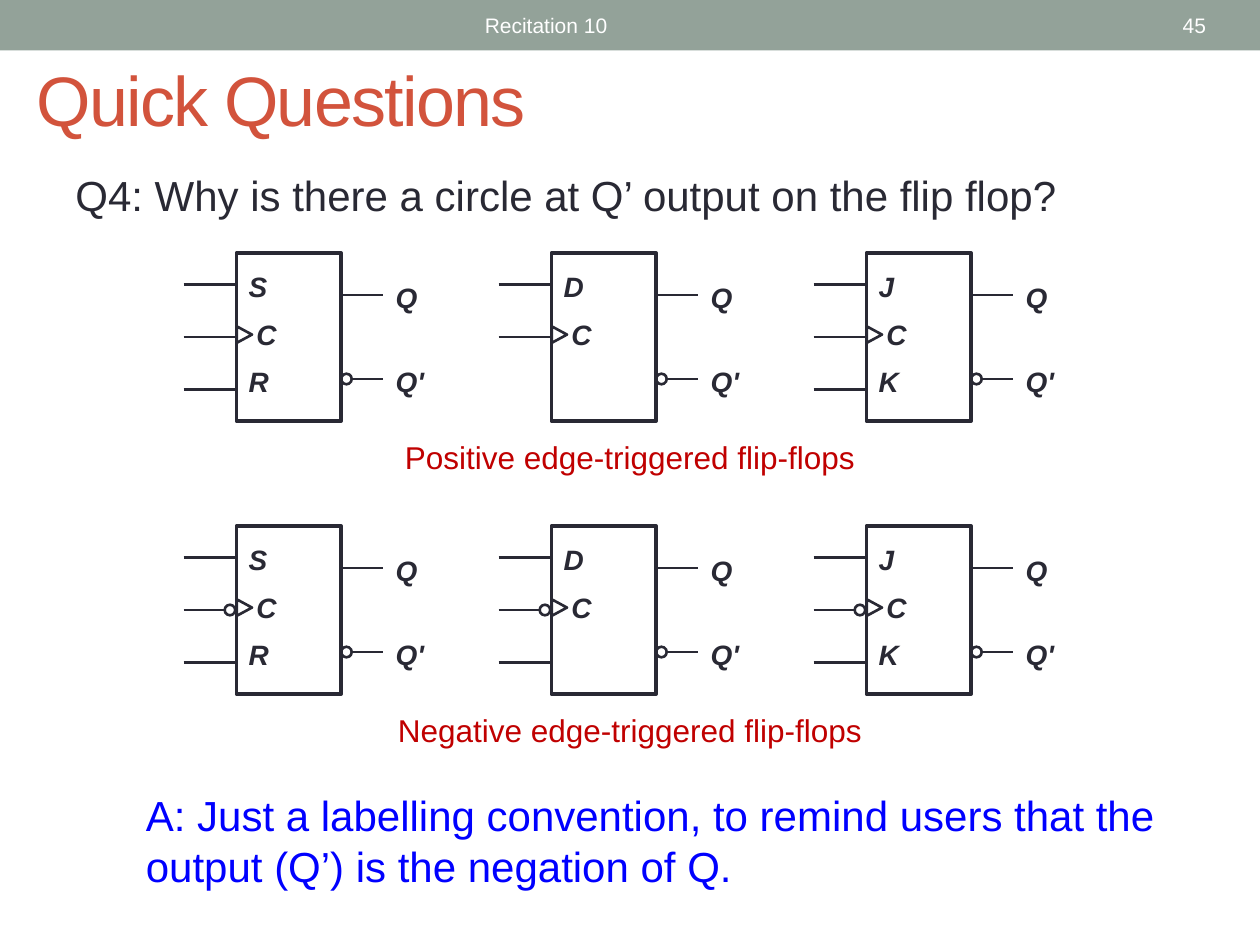
from lxml import etree
from pptx import Presentation
from pptx import util as u
from pptx.dml.color import RGBColor
from pptx.enum import shapes, text
from pptx.oxml import ns

COLORS = {"band": "93A299", "white": "FFFFFF", "ink": "292934",
          "answer": "0000FF", "caption": "C00000", "title": "D2533C"}
FONT = "Arial"
UNIT = 1 / 12  # side of one diagram grid cell, in inches
COLUMN_STEP, ROW_STEP = 30, 26
DIAGRAM_LEFT, DIAGRAM_TOP = 17.5, 24.1
KINDS = [("S", "R"), ("D", None), ("J", "K")]


def color(name):
    return RGBColor.from_string(COLORS[name])


def inches(*values):
    return [u.Inches(value) for value in values]


def write(box, lines, size, ink, align=text.PP_ALIGN.LEFT,
          anchor=text.MSO_ANCHOR.TOP, gap=0, bold=None, italic=None):
    frame = box.text_frame
    frame.word_wrap = True
    frame.auto_size = text.MSO_AUTO_SIZE.NONE
    frame.vertical_anchor = anchor
    frame.text = "\n".join(lines)
    for index, para in enumerate(frame.paragraphs):
        para.alignment = align
        para.space_before = u.Pt(gap if index else 0)
        for span in para.runs:
            font = span.font
            font.name, font.size = FONT, u.Pt(size)
            font.bold, font.italic = bold, italic
            font.color.rgb = color(ink)


def add_text(parent, area, lines, size, ink, **style):
    box = parent.add_textbox(*inches(*area))
    write(box, lines, size, ink, **style)


class Grid:
    """Draws on a group, in grid cells counted from one corner."""

    def __init__(self, parent, left, top):
        self.parent, self.left, self.top = parent, left, top

    def area(self, left, top, width, height):
        return [(self.left + left) * UNIT, (self.top + top) * UNIT,
                width * UNIT, height * UNIT]

    def outline(self, kind, area, weight=1.5, rotation=0):
        shape = self.parent.add_shape(kind, *inches(*self.area(*area)))
        shape.shadow.inherit = False
        shape.fill.background()
        shape.line.color.rgb = color("ink")
        shape.line.width = u.Pt(weight)
        shape.rotation = rotation

    def wire(self, start, end, row):
        y = (self.top + row) * UNIT
        line = self.parent.add_connector(
            shapes.MSO_CONNECTOR.STRAIGHT,
            *inches((self.left + start) * UNIT, y, (self.left + end) * UNIT, y))
        line.line.color.rgb = color("ink")
        line.line.width = u.Pt(1.5)
        etree.SubElement(line._element.spPr, ns.qn("a:effectLst"))

    def bubble(self, left, row):
        self.outline(shapes.MSO_SHAPE.OVAL, (left, row - 0.5, 1, 1))

    def label(self, area, lines, gap):
        add_text(self.parent, self.area(*area), lines, 16, "ink",
                 gap=gap, bold=True, italic=True)


def draw_flip_flop(grid, first, last, negative):
    grid.outline(shapes.MSO_SHAPE.RECTANGLE, (5, 0, 10, 16), weight=2)
    # Inputs and clock
    grid.wire(0, 5, 3)
    grid.wire(0, 4 if negative else 5, 8)
    if last or negative:
        grid.wire(0, 5, 13)
    if negative:
        grid.bubble(3.9, 8)
    grid.outline(shapes.MSO_SHAPE.ISOSCELES_TRIANGLE,
                 (5, 7.05, 1.56, 1.44), rotation=90)
    names = [first, " C"] + ([last] if last else [])
    grid.label((5, 1, 7, 14 if last else 9.2), names, 8)
    # Outputs
    grid.wire(15, 19, 4)
    grid.bubble(15, 12)
    grid.wire(16, 19, 12)
    grid.label((19, 2, 6, 12.7), ["Q", "Q'"], 29)


def draw_family(page, top, caption, negative):
    parts = page.shapes.add_group_shape().shapes
    for column, (first, last) in enumerate(KINDS):
        left = DIAGRAM_LEFT + column * COLUMN_STEP
        draw_flip_flop(Grid(parts, left, top), first, last, negative)
    grid = Grid(parts, DIAGRAM_LEFT, top)
    add_text(parts, grid.area(18.5, 17, 48, 4.8), [caption], 18, "caption",
             align=text.PP_ALIGN.CENTER)


def draw_header(page, width, height):
    band = page.shapes.add_shape(shapes.MSO_SHAPE.RECTANGLE,
                                 *inches(0, 0, width, height))
    band.shadow.inherit = False
    band.fill.solid()
    band.fill.fore_color.rgb = color("band")
    band.line.fill.background()
    middle = text.MSO_ANCHOR.MIDDLE
    add_text(page.shapes, (0.375 * width, 0.02, 0.45 * width, height - 0.04),
             ["Recitation 10"], 12, "white", anchor=middle)
    add_text(page.shapes, (0.872 * width, 0.02, 0.095 * width, height - 0.04),
             ["45"], 12, "white", anchor=middle, align=text.PP_ALIGN.RIGHT)


def draw_title(page, area, words):
    title = page.shapes.title
    title.left, title.top, title.width, title.height = inches(*area)
    write(title, [words], 40, "title", anchor=text.MSO_ANCHOR.MIDDLE)
    for span in title.text_frame.paragraphs[0].runs:
        span.font._element.set("spc", "-100")


deck = Presentation()
deck.slide_width, deck.slide_height = inches(10, 7.5)
page = deck.slides.add_slide(deck.slide_layouts[5])

draw_header(page, 10, 0.4)
draw_title(page, (0.19, 0.24, 4.64, 1.08), "Quick Questions")

# Question and answer
add_text(page.shapes, (0.5, 1.3, 8.69, 0.5),
         ["Q4: Why is there a circle at Q’ output on the flip flop?"], 24, "ink")
add_text(page.shapes, (1.06, 6.22, 8.24, 0.91),
         ["A: Just a labelling convention, to remind users that the output "
          "(Q’) is the negation of Q."], 24, "answer")

# Flip-flop families
for row, edge in enumerate(["Positive", "Negative"]):
    draw_family(page, DIAGRAM_TOP + row * ROW_STEP,
                f"{edge} edge-triggered flip-flops", edge == "Negative")

deck.save("out.pptx")
